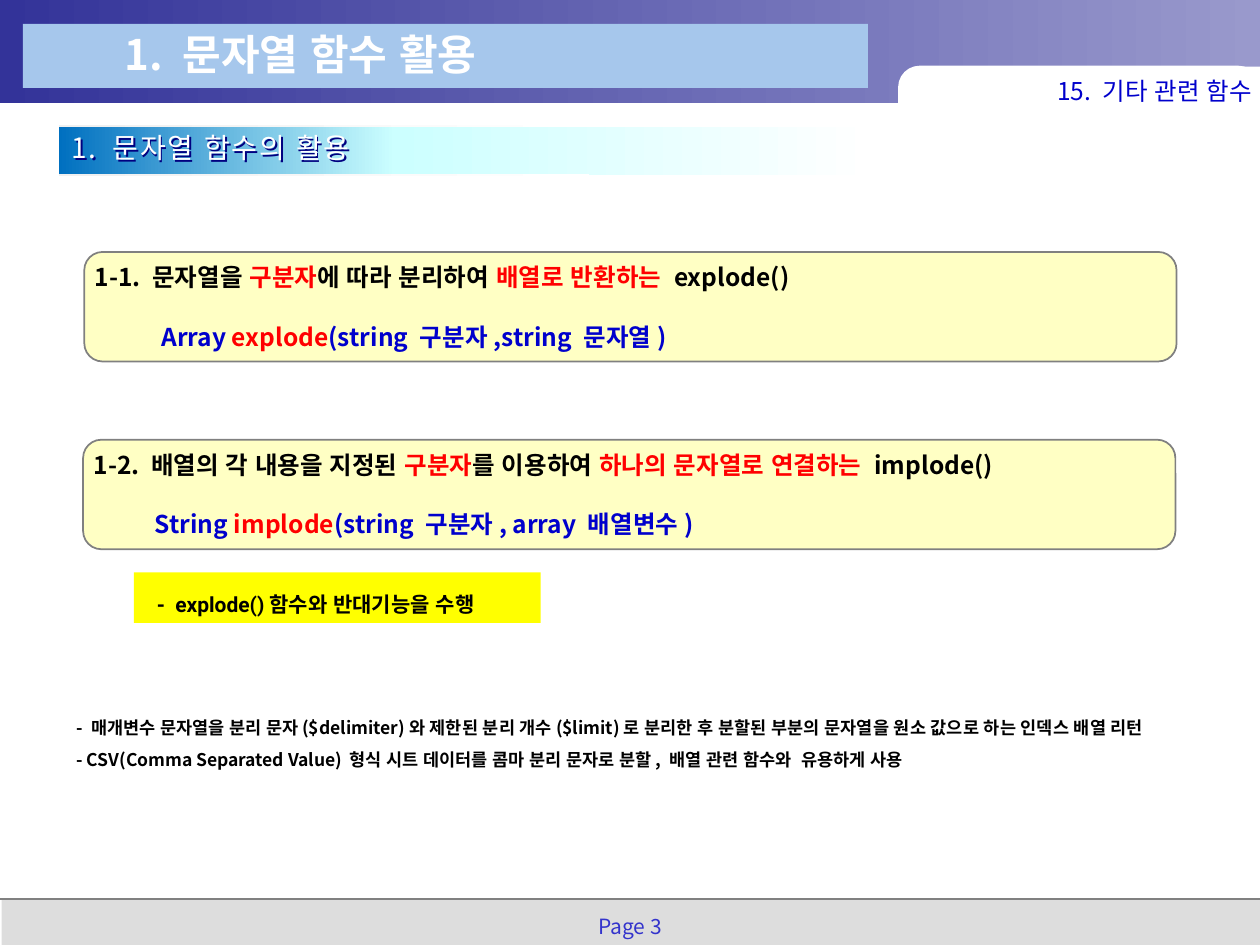
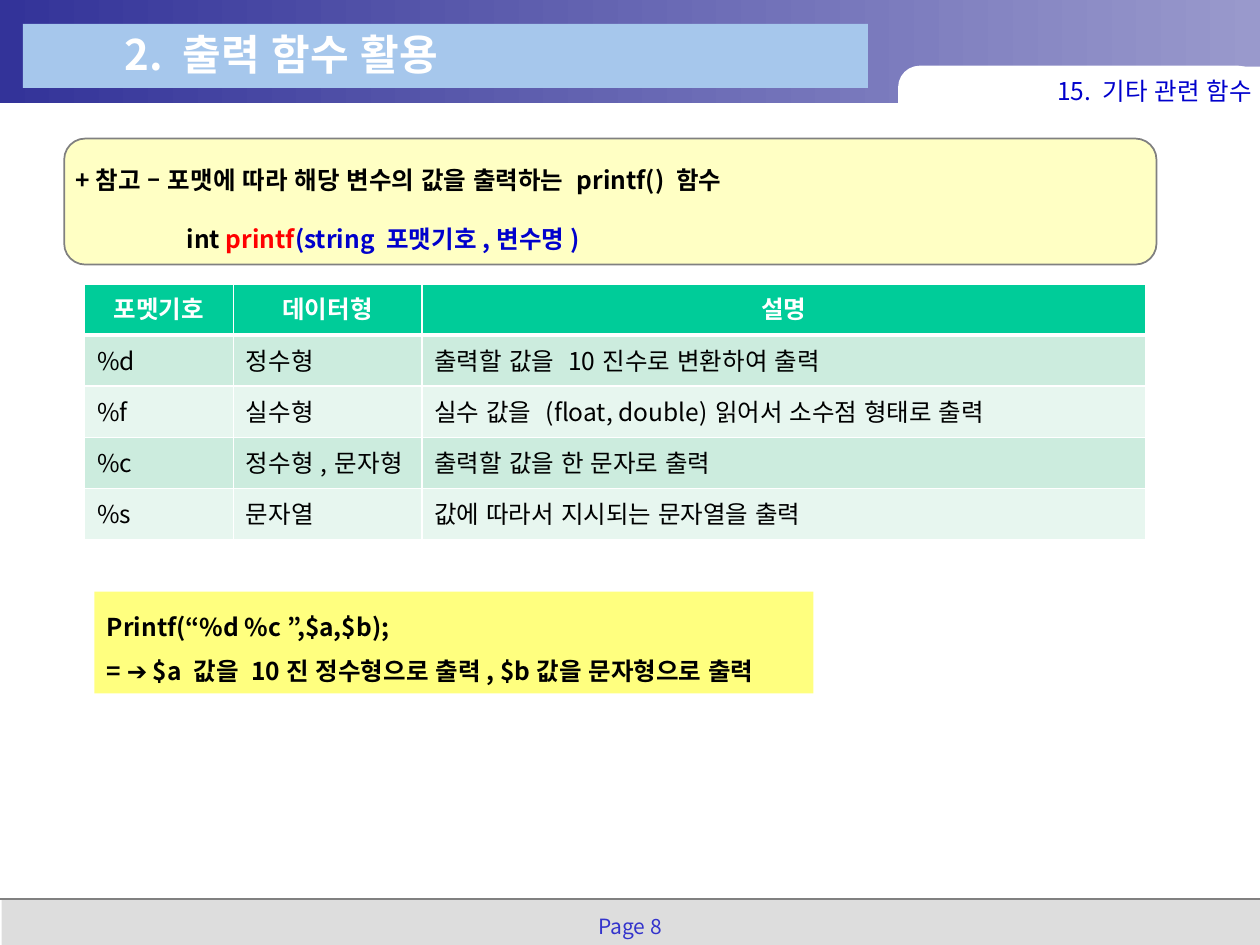
from lxml import etree
from pptx import Presentation
from pptx import util as u
from pptx.dml import color
from pptx.enum import lang, shapes, text
from pptx.oxml import ns

Pt = u.Pt
rgb = color.RGBColor.from_string
RECT = shapes.MSO_SHAPE.RECTANGLE
ROUND = shapes.MSO_SHAPE.ROUNDED_RECTANGLE
LEFT, CENTER, RIGHT = text.PP_ALIGN.LEFT, text.PP_ALIGN.CENTER, text.PP_ALIGN.RIGHT
TOP, MIDDLE = text.MSO_ANCHOR.TOP, text.MSO_ANCHOR.MIDDLE

FONT = "Noto Sans CJK KR"
BLACK, WHITE, GRAY = "000000", "FFFFFF", "808080"
RED, BLUE, YELLOW = "FF0000", "0000CC", "FFFF00"


def add_box(slide, bounds, kind=RECT, fill=None, alpha=100, gradient=None, line=None):
    """Add a shape with a plain, see-through or left-to-right gradient fill."""
    shape = slide.shapes.add_shape(kind, *[Pt(value) for value in bounds])
    shape.shadow.inherit = False
    properties = shape.element.spPr
    if gradient:
        shape.fill.gradient()
        shape.fill.gradient_angle = 0
        stops = properties.find(".//" + ns.qn("a:gsLst"))
        stops[:] = []
        for position, value in gradient:
            stop = etree.SubElement(stops, ns.qn("a:gs"), pos=str(position * 1000))
            etree.SubElement(stop, ns.qn("a:srgbClr"), val=value)
    else:
        shape.fill.solid()
        shape.fill.fore_color.rgb = rgb(fill)
        if alpha < 100:
            tint = properties.find(".//" + ns.qn("a:srgbClr"))
            etree.SubElement(tint, ns.qn("a:alpha"), val=str(alpha * 1000))
    if line:
        shape.line.color.rgb = rgb(line)
        shape.line.width = Pt(1)
    else:
        shape.line.fill.background()
    return shape


def write_text(frame, paragraphs, size=14, ink=BLACK, bold=False, font=FONT, align=LEFT,
               anchor=TOP, inset=None, spacing=None, indent=0, gap=0, tracking=0):
    """Fill a frame; a paragraph is a string or a list of (text, colour) pieces."""
    frame.word_wrap = True
    frame.vertical_anchor = anchor
    if inset is not None:
        frame.margin_left = frame.margin_right = Pt(inset)
        frame.margin_top = frame.margin_bottom = Pt(inset)
    for index, pieces in enumerate(paragraphs):
        paragraph = frame.add_paragraph() if index else frame.paragraphs[0]
        paragraph.alignment = align
        paragraph.line_spacing = spacing
        # Indent and gap belong to the last line of the text
        if index == len(paragraphs) - 1:
            paragraph.space_before = Pt(gap)
            paragraph._p.get_or_add_pPr().set("marL", str(Pt(indent)))
        for words, piece_ink in [(pieces, ink)] if isinstance(pieces, str) else pieces:
            run = paragraph.add_run()
            run.text = words
            run.font.size = Pt(size)
            run.font.bold = bold
            run.font.color.rgb = rgb(piece_ink)
            run.font.language_id = lang.MSO_LANGUAGE_ID.KOREAN
            run.font.name = font
            properties = run.font._element
            if tracking:
                properties.set("spc", str(tracking * 100))
            etree.SubElement(properties, ns.qn("a:ea"), typeface=FONT)


presentation = Presentation()
presentation.slide_width, presentation.slide_height = Pt(720), Pt(540)

# Shared frame: footer, top band, corner tab, title and page number
slides = []
for title, page in [("1. 문자열 함수 활용", 3), ("2. 출력 함수 활용", 8)]:
    slide = presentation.slides.add_slide(presentation.slide_layouts[6])
    slides.append(slide)
    add_box(slide, (1, 514, 719, 26), fill="DDDDDD")
    add_box(slide, (0, 0, 720, 59), gradient=[(0, "333399"), (100, "9999CC")])
    rule = slide.shapes.add_connector(shapes.MSO_CONNECTOR.STRAIGHT, 0, Pt(513.8), Pt(720), Pt(513.8))
    rule.line.color.rgb = rgb(GRAY)
    rule.line.width = Pt(1)
    etree.SubElement(rule._element.spPr, ns.qn("a:effectLst"))
    tab = add_box(slide, (513.2, 37.6, 206.8, 42.4), kind=ROUND, fill=WHITE)
    tab.adjustments[0] = 0.29
    add_box(slide, (655, 38, 65, 17.5), fill=WHITE)
    add_box(slide, (13, 13.7, 483, 36.5), fill="A6C7EC")
    for words, bounds, style in [
        (f"Page {page}", (327.6, 520, 64.8, 20),
         dict(size=12, ink="3333CC", align=CENTER, spacing=0.9)),
        (title, (64, 13, 358, 36), dict(size=24, ink=WHITE, bold=True)),
        ("15. 기타 관련 함수", (524, 40.3, 194.5, 23),
         dict(ink=BLUE, align=RIGHT, anchor=MIDDLE, inset=3)),
    ]:
        label = slide.shapes.add_textbox(*[Pt(value) for value in bounds])
        write_text(label.text_frame, [words], **style)

string_slide, output_slide = slides

# Section heading on a fading band
add_box(string_slide, (33.8, 72.7, 480, 27.3), gradient=[(0, "0070C0"), (40, "CCFFFF"), (97, WHITE)])
for top in (71.3, 99.4):
    add_box(string_slide, (33.8, top, 303, 1.4), gradient=[(0, "F0F0F0"), (100, WHITE)])
heading = string_slide.shapes.add_textbox(Pt(33.8), Pt(71.3), Pt(482), Pt(27))
write_text(heading.text_frame, ["1. 문자열 함수의 활용"], size=16, ink=WHITE, tracking=1)
# The unfilled box casts its shadow from the letters
effects = etree.SubElement(heading._element.spPr, ns.qn("a:effectLst"))
shadow = etree.SubElement(effects, ns.qn("a:outerShdw"), dist=str(Pt(1.4)), dir="2700000")
etree.SubElement(shadow, ns.qn("a:srgbClr"), val="000080")

# Function syntax boxes
syntax_boxes = [
    (string_slide, (48.2, 144, 624.2, 62.6), 38, None,
     [("1-1. 문자열을 ", BLACK), ("구분자", RED), ("에 따라 분리하여 ", BLACK),
      ("배열로 반환하는 ", RED), ("explode()", BLACK)],
     [("Array ", BLUE), ("explode", RED), ("(string 구분자,string 문자열)", BLUE)]),
    (string_slide, (47.5, 251.3, 624.2, 62.6), 35, None,
     [("1-2. 배열의 각 내용을 지정된 ", BLACK), ("구분자", RED), ("를 이용하여 ", BLACK),
      ("하나의 문자열로 연결하는 ", RED), ("implode()", BLACK)],
     [("String ", BLUE), ("implode", RED), ("(string 구분자, array 배열변수)", BLUE)]),
    (output_slide, (36.7, 79.2, 624.2, 72), 63.5, 1.5,
     [("+참고 – 포맷에 따라 해당 변수의 값을 출력하는 printf() 함수", BLACK)],
     [("int ", BLACK), ("printf", RED), ("(string 포맷기호,변수명)", BLUE)]),
]
for slide, bounds, indent, first_spacing, purpose, syntax in syntax_boxes:
    box = add_box(slide, bounds, kind=ROUND, fill=YELLOW, alpha=23, line=GRAY)
    write_text(box.text_frame, [purpose, syntax], bold=True, anchor=MIDDLE, inset=3,
               indent=indent, gap=17)
    box.text_frame.paragraphs[0].line_spacing = first_spacing

# Remarks
remark = add_box(string_slide, (76.5, 327, 232.5, 29), fill=YELLOW)
write_text(remark.text_frame, ["-  explode()함수와 반대기능을 수행"], size=12, bold=True,
           font="Roboto", spacing=1.5, indent=6)
notes = string_slide.shapes.add_textbox(Pt(36.7), Pt(400.3), Pt(668), Pt(44))
write_text(notes.text_frame, [
    "- 매개변수 문자열을 분리 문자($delimiter)와 제한된 분리 개수($limit)로 분리한 후 "
    "분할된 부분의 문자열을 원소 값으로 하는 인덱스 배열 리턴",
    "- CSV(Comma Separated Value) 형식 시트 데이터를 콤마 분리 문자로 분할, "
    "배열 관련 함수와  유용하게 사용",
], size=10, bold=True, spacing=1.5)

# Format symbol table
rows = [
    ("포멧기호", "데이터형", "설명"),
    ("%d", "정수형", "출력할 값을 10진수로 변환하여 출력"),
    ("%f", "실수형", "실수 값을 (float, double)읽어서 소수점 형태로 출력"),
    ("%c", "정수형,문자형", "출력할 값을 한 문자로 출력"),
    ("%s", "문자열", "값에 따라서 지시되는 문자열을 출력"),
]
widths = (85, 107.7, 413.8)
table = output_slide.shapes.add_table(len(rows), len(widths), Pt(48.4), Pt(162.3),
                                      Pt(sum(widths)), Pt(146)).table
for column, width in zip(table.columns, widths):
    column.width = Pt(width)
for row_index, row in enumerate(rows):
    header = row_index == 0
    table.rows[row_index].height = Pt(29.2)
    for column_index, words in enumerate(row):
        cell = table.cell(row_index, column_index)
        write_text(cell.text_frame, [words], bold=header, ink=WHITE if header else BLACK,
                   align=CENTER if header else LEFT)
        properties = cell._tc.get_or_add_tcPr()
        for side in "LRTB":
            thick = (header and side == "B") or (row_index == 1 and side == "T")
            border = etree.SubElement(properties, ns.qn(f"a:ln{side}"), w=str(Pt(3 if thick else 1)))
            border_fill = etree.SubElement(border, ns.qn("a:solidFill"))
            etree.SubElement(border_fill, ns.qn("a:srgbClr"), val=WHITE)
        cell.fill.solid()
        cell.fill.fore_color.rgb = rgb("00CC99" if header else ("E7F6EF", "CCECDE")[row_index % 2])

# Usage example
example = add_box(output_slide, (54, 338, 410.8, 58.3), fill=YELLOW, alpha=50)
write_text(example.text_frame, [
    "Printf(“%d %c ”,$a,$b);",
    "= ➔ $a 값을 10진 정수형으로 출력, $b값을 문자형으로 출력",
], bold=True, spacing=1.5)

presentation.save("out.pptx")
